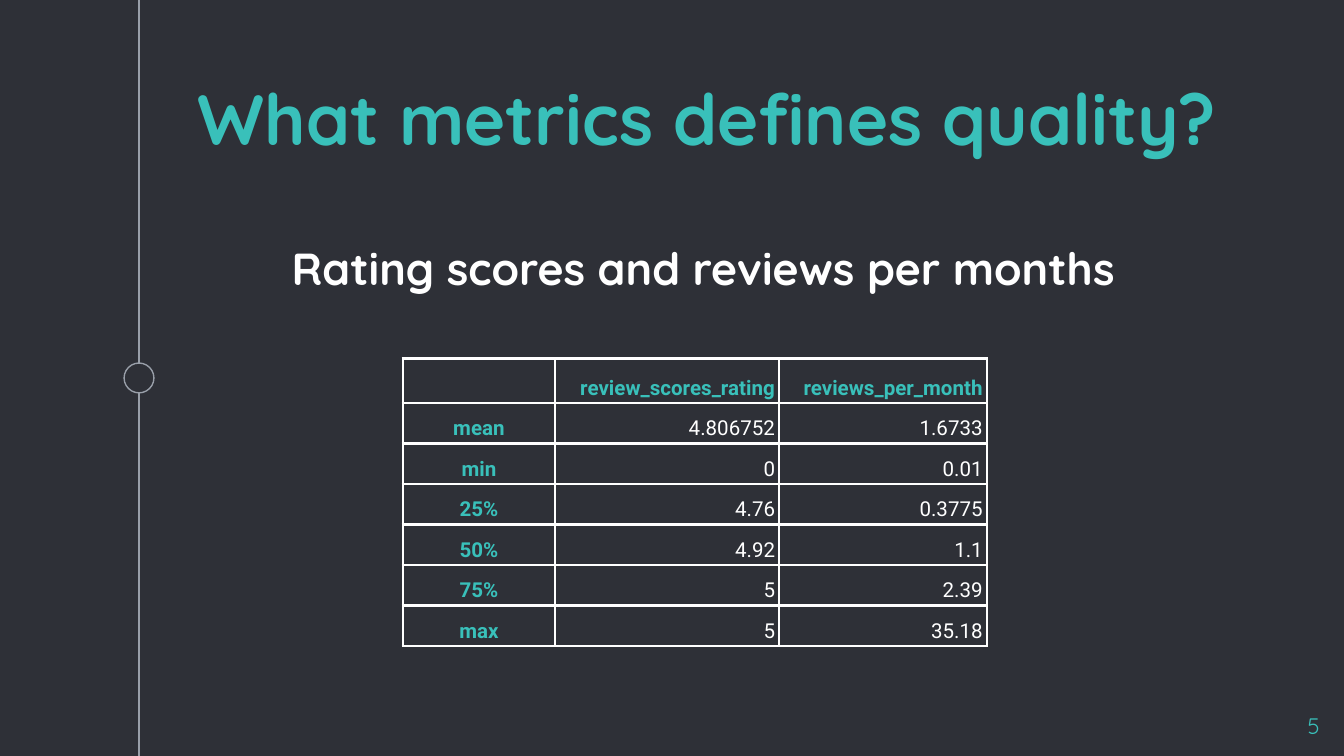
import pptx
import pptx.dml.color
import pptx.enum.shapes
import pptx.enum.text
import pptx.oxml
import pptx.oxml.ns
import pptx.util

Pt = pptx.util.Pt
RGBColor = pptx.dml.color.RGBColor
ALIGN = pptx.enum.text.PP_ALIGN
ANCHOR = pptx.enum.text.MSO_ANCHOR

DARK = RGBColor(0x2E, 0x30, 0x37)
GREY = RGBColor(0x99, 0x9F, 0xA9)
TEAL = RGBColor(0x39, 0xC0, 0xBA)
WHITE = RGBColor(0xFF, 0xFF, 0xFF)

HEADING_FONT = "Quicksand"
TABLE_FONT = "Roboto"
WIDTH, HEIGHT = 720, 405

METRICS = [
    ["", "review_scores_rating", "reviews_per_month"],
    ["mean", "4.806752", "1.6733"],
    ["min", "0", "0.01"],
    ["25%", "4.76", "0.3775"],
    ["50%", "4.92", "1.1"],
    ["75%", "5", "2.39"],
    ["max", "5", "35.18"],
]
COLUMN_WIDTHS = [81.75, 120, 111.25]
HEADER_HEIGHT, ROW_HEIGHT = 24, 21.7


def add_run(p, text, font, size, color, bold=False):
    r = p.add_run()
    r.text = text
    r.font.name = font
    r.font.size = Pt(size)
    r.font.bold = bold
    r.font.color.rgb = color


def set_text(sp, box, text, size, color, bold=False, align=ALIGN.LEFT,
             anchor=ANCHOR.TOP, space_before=0):
    """Place a text shape at box (left, top, width, height) and fill it."""
    sp.left, sp.top, sp.width, sp.height = map(Pt, box)
    tf = sp.text_frame
    tf.word_wrap = True
    tf.auto_size = pptx.enum.text.MSO_AUTO_SIZE.NONE
    tf.vertical_anchor = anchor
    tf.margin_left = tf.margin_right = Pt(7.2)
    tf.margin_top = tf.margin_bottom = Pt(7.2)
    p = tf.paragraphs[0]
    p.alignment = align
    p.line_spacing = 1.0
    p.space_before = Pt(space_before)
    add_run(p, text, HEADING_FONT, size, color, bold)


def add_timeline(s, x, y, diameter):
    """Draw the full-height rule at x with a ring centred on it at y."""
    line = s.shapes.add_connector(
        pptx.enum.shapes.MSO_CONNECTOR.STRAIGHT, Pt(x), Pt(0), Pt(x), Pt(HEIGHT))
    line._element.spPr.append(pptx.oxml.parse_xml(
        f"<a:effectLst {pptx.oxml.ns.nsdecls('a')}/>"))
    ring = s.shapes.add_shape(
        pptx.enum.shapes.MSO_SHAPE.OVAL, Pt(x - diameter / 2),
        Pt(y - diameter / 2), Pt(diameter), Pt(diameter))
    ring.shadow.inherit = False
    ring.fill.solid()
    ring.fill.fore_color.rgb = DARK
    for sp in (line, ring):
        sp.line.color.rgb = GREY
        sp.line.width = Pt(0.75)


def set_borders(cell, color, width):
    tc_pr = cell._tc.get_or_add_tcPr()
    for i, side in enumerate(("lnL", "lnR", "lnT", "lnB")):
        tc_pr.insert(i, pptx.oxml.parse_xml(
            f'<a:{side} {pptx.oxml.ns.nsdecls("a")} w="{Pt(width)}">'
            f'<a:solidFill><a:srgbClr val="{color}"/></a:solidFill></a:{side}>'))


def format_cell(cell, text, is_header, align):
    cell.fill.background()
    cell.vertical_anchor = ANCHOR.BOTTOM
    cell.margin_left = cell.margin_right = Pt(2.2)
    cell.margin_top = cell.margin_bottom = Pt(1.5)
    set_borders(cell, WHITE, 1.5)
    p = cell.text_frame.paragraphs[0]
    p.alignment = align
    p.line_spacing = 1.15
    add_run(p, text, TABLE_FONT, 11, TEAL if is_header else WHITE, is_header)


def add_metrics_table(s, left, top):
    heights = [HEADER_HEIGHT] + [ROW_HEIGHT] * (len(METRICS) - 1)
    table = s.shapes.add_table(
        len(heights), len(COLUMN_WIDTHS), Pt(left), Pt(top),
        Pt(sum(COLUMN_WIDTHS)), Pt(sum(heights))).table
    table.first_row = table.horz_banding = False
    for column, width in zip(table.columns, COLUMN_WIDTHS):
        column.width = Pt(width)
    for row, height in zip(table.rows, heights):
        row.height = Pt(height)
    for i, values in enumerate(METRICS):
        for j, text in enumerate(values):
            format_cell(table.cell(i, j), text, i == 0 or j == 0,
                        ALIGN.RIGHT if j else ALIGN.CENTER)


def main():
    prs = pptx.Presentation()
    prs.slide_width, prs.slide_height = Pt(WIDTH), Pt(HEIGHT)
    s = prs.slides.add_slide(prs.slide_layouts[0])
    s.background.fill.solid()
    s.background.fill.fore_color.rgb = DARK

    add_timeline(s, 74.5, 202.5, 16)
    set_text(s.shapes.title, (98.75, 26.75, 572.5, 66),
             "What metrics defines quality?", 38, TEAL, bold=True,
             anchor=ANCHOR.BOTTOM)
    set_text(s.placeholders[1], (149, 121.75, 466, 75),
             "Rating scores and reviews per months", 24, WHITE, bold=True,
             space_before=6)
    add_metrics_table(s, 215.75, 192)
    set_text(s.shapes.add_textbox(0, 0, 0, 0), (671, 374.25, 43.25, 24.5),
             "5", 12, TEAL, align=ALIGN.RIGHT)

    prs.save("out.pptx")


if __name__ == "__main__":
    main()
